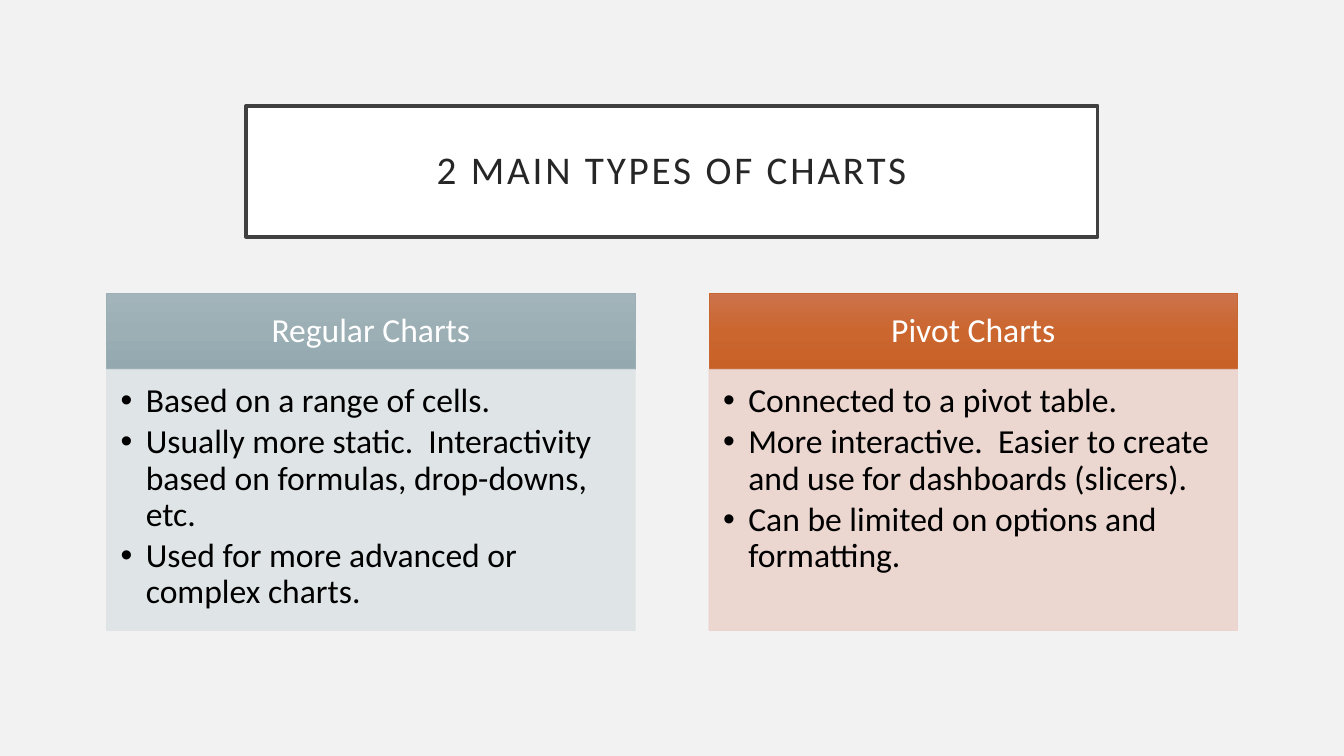
from copy import deepcopy

from lxml.etree import SubElement
from pptx import Presentation
from pptx.dml.color import RGBColor
from pptx.enum.shapes import MSO_SHAPE
from pptx.enum.text import MSO_ANCHOR, PP_ALIGN
from pptx.oxml.ns import qn
from pptx.util import Pt


def color(value):
    return RGBColor.from_string(value)


def add_box(bounds, line_color, line_width, margins, anchor):
    shape = slide.shapes.add_shape(MSO_SHAPE.RECTANGLE, *map(Pt, bounds))
    shape.shadow.inherit = False
    shape.line.color.rgb = color(line_color)
    shape.line.width = Pt(line_width)
    frame = shape.text_frame
    frame.word_wrap = True
    frame.vertical_anchor = anchor
    (frame.margin_left, frame.margin_top,
     frame.margin_right, frame.margin_bottom) = map(Pt, margins)
    return shape


presentation = Presentation()
presentation.slide_width, presentation.slide_height = Pt(960), Pt(540)
slide = presentation.slides.add_slide(presentation.slide_layouts[6])
slide.background.fill.solid()
slide.background.fill.fore_color.rgb = color("F2F2F2")

# Title
title = add_box((175.7, 75.6, 608.4, 93.6), "404040", 2.5, [14.4] * 4, MSO_ANCHOR.MIDDLE)
title.fill.solid()
title.fill.fore_color.rgb = color("FFFFFF")
paragraph = title.text_frame.paragraphs[0]
paragraph.alignment = PP_ALIGN.CENTER
paragraph.line_spacing = 0.9
run = paragraph.add_run()
run.text = "2 MAIN TYPES OF CHARTS"
run.font.name, run.font.size = "Calibri", Pt(28)
run.font.color.rgb = color("262626")
run.font._element.set("spc", "200")

# Comparison columns: heading, gradient, heading line, panel colour, points
columns = [
    ("Regular Charts", ("A3B5BB", "9BAFB5", "93A9AF"), "9BAFB5", "DEE3E5", [
        "Based on a range of cells.",
        "Usually more static.  Interactivity based on formulas, drop-downs, etc.",
        "Used for more advanced or complex charts.",
    ]),
    ("Pivot Charts", ("CC734B", "CB662F", "C86128"), "C96731", "EBD3CD", [
        "Connected to a pivot table.",
        "More interactive.  Easier to create and use for dashboards (slicers).",
        "Can be limited on options and formatting.",
    ]),
]
left, pitch, width = 76.1, 430.3, 377.6
top, header_height, panel_height = 209.4, 54.4, 186.6

for index, (heading, gradient, heading_line, panel_color, points) in enumerate(columns):
    x = left + index * pitch

    # Heading bar with a three-stop vertical gradient
    header = add_box((x, top, width, header_height), heading_line, 0.5,
                     (13.7, 7.9, 13.7, 7.9), MSO_ANCHOR.MIDDLE)
    header.fill.gradient()
    header.fill.gradient_angle = 270
    stop_list = header._element.spPr.find(".//" + qn("a:gsLst"))
    stop_list.insert(1, deepcopy(stop_list[0]))
    for number, stop in enumerate(header.fill.gradient_stops):
        stop.position = number / 2
        stop.color.rgb = color(gradient[number])
    paragraph = header.text_frame.paragraphs[0]
    paragraph.alignment = PP_ALIGN.CENTER
    paragraph.line_spacing = 0.9
    run = paragraph.add_run()
    run.text = heading
    run.font.name, run.font.size = "Calibri", Pt(24)
    run.font.color.rgb = color("FFFFFF")

    # Panel, 90 % opaque
    panel = add_box((x, top + header_height, width, panel_height), panel_color, 0.5,
                    (10.1, 10.1, 13.7, 15.1), MSO_ANCHOR.TOP)
    panel.fill.solid()
    panel.fill.fore_color.rgb = color(panel_color)
    for color_element in panel._element.spPr.findall(".//" + qn("a:srgbClr")):
        SubElement(color_element, qn("a:alpha")).set("val", "90000")

    # Bulleted points
    frame = panel.text_frame
    for number, point in enumerate(points):
        paragraph = frame.add_paragraph() if number else frame.paragraphs[0]
        paragraph.alignment = PP_ALIGN.LEFT
        paragraph.line_spacing = 0.9
        paragraph.space_after = Pt(3.6)
        properties = paragraph._p.get_or_add_pPr()
        properties.set("marL", str(Pt(18)))
        properties.set("indent", str(Pt(-18)))
        SubElement(properties, qn("a:buFont")).set("typeface", "Arial")
        SubElement(properties, qn("a:buChar")).set("char", "•")
        run = paragraph.add_run()
        run.text = point
        run.font.name, run.font.size = "Calibri", Pt(24)
        run.font.color.rgb = color("000000")

presentation.save("out.pptx")
